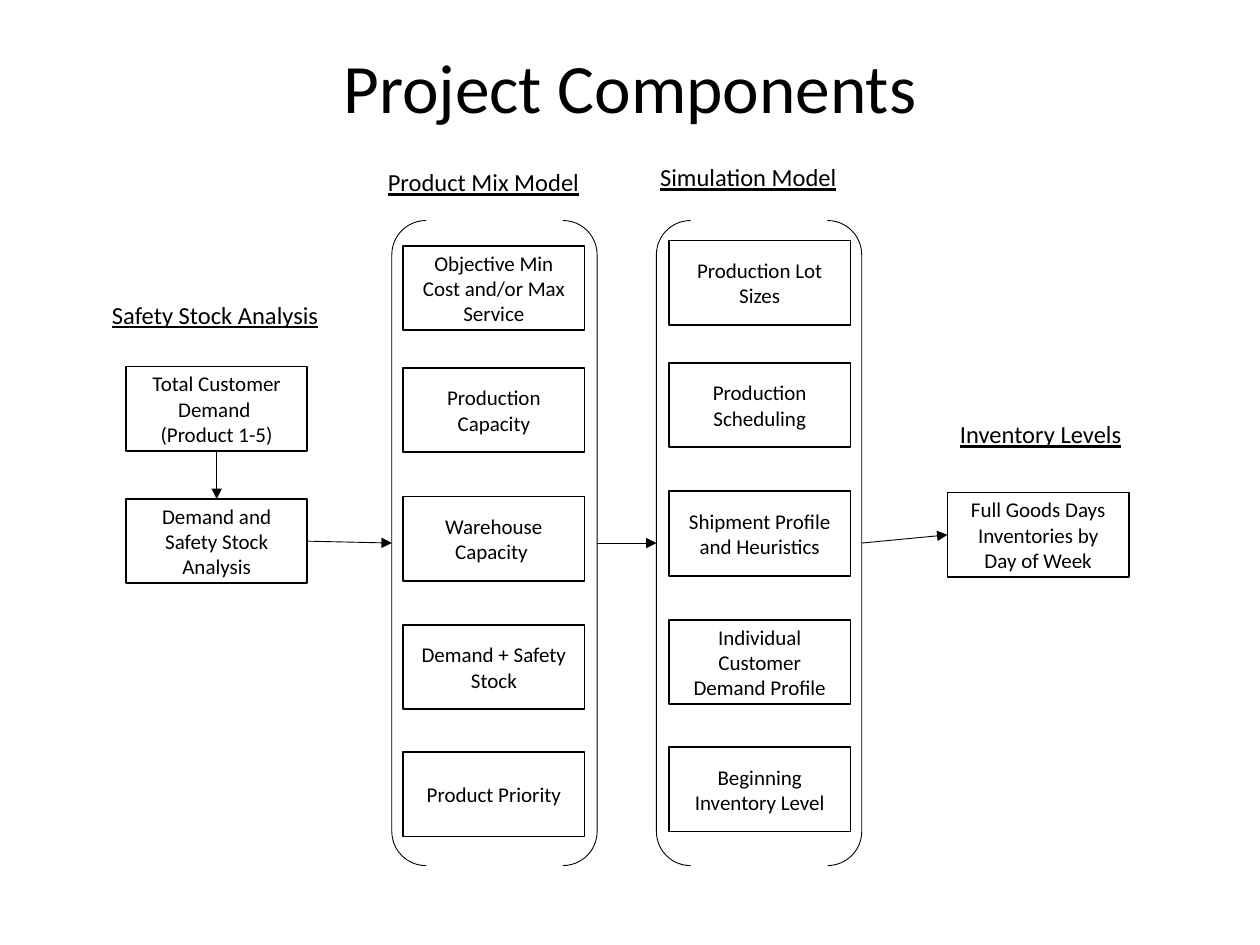
import pptx
import pptx.util
import pptx.dml.color
import pptx.enum.shapes
import pptx.enum.text
import pptx.oxml
import pptx.oxml.ns
from pptx.util import Inches

SHAPES = pptx.enum.shapes.MSO_SHAPE
ALIGN = pptx.enum.text.PP_ALIGN
ANCHOR = pptx.enum.text.MSO_ANCHOR
TOP, LEFT, BOTTOM, RIGHT = range(4)


def color(hex_string):
    return pptx.dml.color.RGBColor.from_string(hex_string)


class Diagram:
    font_name = "Calibri"
    ink = "000000"
    paper = "FFFFFF"
    box_width, box_height = 1.44, 0.67

    def __init__(self, slide):
        self.slide = slide

    def set_text(self, shape, lines, size, alignment, underline=False):
        frame = shape.text_frame
        frame.text = "\n".join(lines)
        for paragraph in frame.paragraphs:
            paragraph.alignment = alignment
            paragraph.font.name = self.font_name
            paragraph.font.size = pptx.util.Pt(size)
            paragraph.font.color.rgb = color(self.ink)
            if underline:
                paragraph.font.underline = True
        return frame

    def outline(self, line, width):
        line.color.rgb = color(self.ink)
        line.width = pptx.util.Pt(width)

    def title(self, text, left, top, width, height):
        shape = self.slide.shapes.add_textbox(
            Inches(left), Inches(top), Inches(width), Inches(height))
        frame = self.set_text(shape, [text], 39.6, ALIGN.CENTER)
        frame.word_wrap = True
        frame.vertical_anchor = ANCHOR.MIDDLE
        frame.paragraphs[0].line_spacing = 0.9

    def heading(self, text, left, top, width):
        shape = self.slide.shapes.add_textbox(
            Inches(left), Inches(top), Inches(width), Inches(0.34))
        frame = self.set_text(shape, [text], 14, ALIGN.LEFT, underline=True)
        frame.word_wrap = False
        frame.auto_size = pptx.enum.text.MSO_AUTO_SIZE.SHAPE_TO_FIT_TEXT

    def box(self, left, top, *lines):
        shape = self.slide.shapes.add_shape(
            SHAPES.RECTANGLE, Inches(left), Inches(top),
            Inches(self.box_width), Inches(self.box_height))
        shape.shadow.inherit = False
        shape.fill.solid()
        shape.fill.fore_color.rgb = color(self.paper)
        self.outline(shape.line, 1)
        frame = self.set_text(shape, lines, 12, ALIGN.CENTER)
        frame.word_wrap = True
        frame.vertical_anchor = ANCHOR.MIDDLE
        return shape

    def brackets(self, left, top, width, height):
        shape = self.slide.shapes.add_shape(
            SHAPES.DOUBLE_BRACKET, Inches(left), Inches(top),
            Inches(width), Inches(height))
        shape.shadow.inherit = False
        shape.fill.background()
        self.outline(shape.line, 0.5)
        return shape

    def arrow(self, start, start_side, end, end_side):
        connector = self.slide.shapes.add_connector(
            pptx.enum.shapes.MSO_CONNECTOR.STRAIGHT, 0, 0, 0, 0)
        connector.begin_connect(start, start_side)
        connector.end_connect(end, end_side)
        self.outline(connector.line, 0.5)
        namespace = pptx.oxml.ns.nsdecls("a")
        connector.get_or_add_ln().append(pptx.oxml.parse_xml(
            f'<a:tailEnd {namespace} type="triangle"/>'))
        connector._element.spPr.append(pptx.oxml.parse_xml(
            f"<a:effectLst {namespace}/>"))


def main():
    presentation = pptx.Presentation()
    presentation.slide_width = Inches(10)
    presentation.slide_height = Inches(7.5)
    diagram = Diagram(presentation.slides.add_slide(presentation.slide_layouts[6]))

    # Title and section headings
    diagram.title("Project Components", 0.69, 0.4, 8.62, 0.65)
    for text, left, top, width in [
        ("Safety Stock Analysis", 0.79, 2.33, 1.85),
        ("Product Mix Model", 2.98, 1.28, 1.73),
        ("Simulation Model", 5.14, 1.24, 1.62),
        ("Inventory Levels", 7.52, 3.28, 1.5),
    ]:
        diagram.heading(text, left, top, width)

    # Safety stock and inventory boxes
    demand = diagram.box(1, 2.91, "Total Customer Demand ", "(Product 1-5)")
    analysis = diagram.box(1, 3.96, "Demand and Safety Stock Analysis")
    inventory = diagram.box(7.52, 3.91, "Full Goods Days Inventories by Day of Week")

    # Bracketed model columns; the second sits slightly higher
    row_tops = [1.95, 2.92, 3.94, 4.96, 5.97]
    columns = [
        (3.11, 3.2, 0, [
            ["Objective Min Cost and/or Max Service"],
            ["Production Capacity"],
            ["Warehouse", "Capacity "],
            ["Demand + Safety Stock"],
            ["Product Priority"],
        ]),
        (5.21, 5.31, -0.04, [
            ["Production Lot Sizes"],
            ["Production Scheduling"],
            ["Shipment Profile and Heuristics"],
            ["Individual Customer Demand Profile"],
            ["Beginning Inventory Level"],
        ]),
    ]
    models = []
    for bracket_left, box_left, shift, labels in columns:
        for top, lines in zip(row_tops, labels):
            diagram.box(box_left, top + shift, *lines)
        models.append(diagram.brackets(bracket_left, 1.75, 1.63, 5.12))
    product_mix, simulation = models

    # Flow arrows
    diagram.arrow(demand, BOTTOM, analysis, TOP)
    diagram.arrow(analysis, RIGHT, product_mix, LEFT)
    diagram.arrow(product_mix, RIGHT, simulation, LEFT)
    diagram.arrow(simulation, RIGHT, inventory, LEFT)

    presentation.save("out.pptx")


if __name__ == "__main__":
    main()
